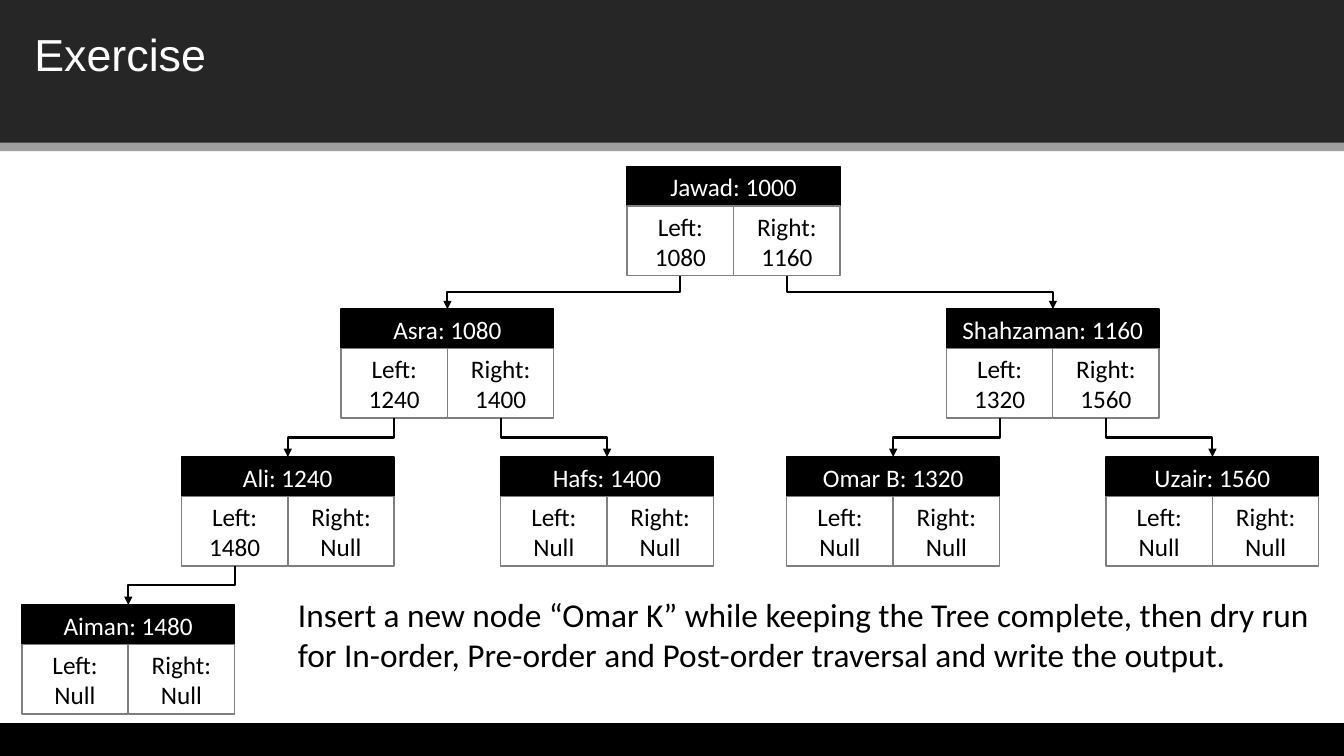
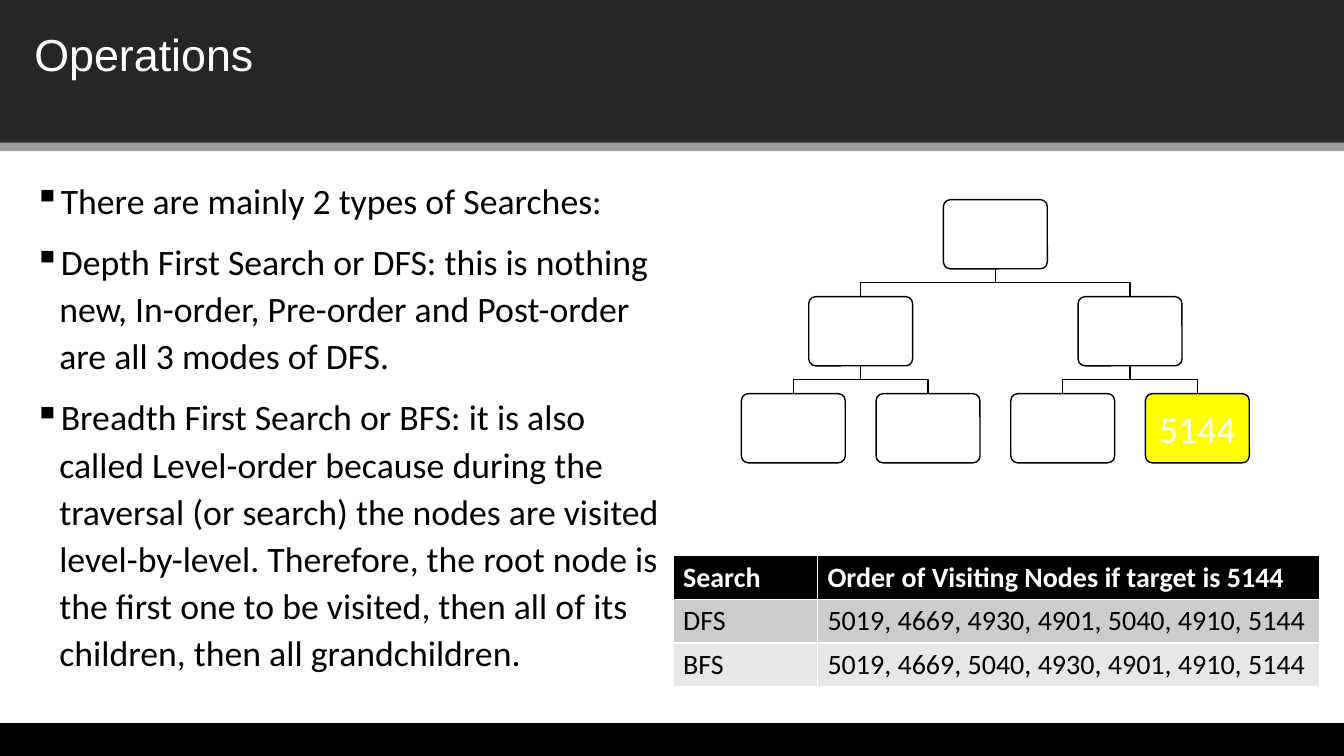
from pptx import Presentation
from pptx.dml.color import RGBColor
from pptx.enum.shapes import MSO_CONNECTOR as Conn, MSO_SHAPE as Geom
from pptx.enum.text import MSO_ANCHOR as Anchor, PP_ALIGN as Align
from pptx.oxml.ns import qn
from pptx.util import Pt
from lxml.etree import SubElement as sub

WIDE, HIGH = 960, 540
BLACK, WHITE, DARK, GRAY, EDGE = "000000", "FFFFFF", "262626", "9F9F9F", "7F7F7F"
YELLOW = "FFFF00"
BANDS = [(0, 102.5, DARK), (102, 6, GRAY), (516.5, 23.5, BLACK)]
TITLE = {"size": Pt(32), "name": "Arial"}
NODE = {"size": Pt(18), "name": "Calibri"}
TASK = {"size": Pt(23.8), "name": "Calibri"}
POINT = {"size": Pt(25.5), "name": "Calibri"}
MARK = {"size": Pt(27), "name": "Calibri"}
CELL = {"size": Pt(20), "name": "Calibri", "bold": False}
HEAD = CELL | {"bold": True}

# A node is (name, address, shift from parent, left child, right child).
ASRA = ("Asra", 1080, -204.4,
        ("Ali", 1240, -114, ("Aiman", 1480, -114, None, None), None),
        ("Hafs", 1400, 114, None, None))
SHAH = ("Shahzaman", 1160, 228,
        ("Omar B", 1320, -114, None, None),
        ("Uzair", 1560, 114, None, None))
ROOT = ("Jawad", 1000, 0, ASRA, SHAH)
TOPS = [119, 220.8, 326.4, 432.2]
NODE_W, HEAD_H, HALF_H = 152, 28.2, 49.6

INSERT = ("Insert a new node “Omar K” while keeping the Tree complete, then dry run "
          "for In-order, Pre-order and Post-order traversal and write the output.")
POINTS = [
    "There are mainly 2 types of Searches:",
    "Depth First Search or DFS: this is nothing new, In-order, Pre-order and "
    "Post-order are all 3 modes of DFS.",
    "Breadth First Search or BFS: it is also called Level-order because during the "
    "traversal (or search) the nodes are visited level-by-level. Therefore, the root "
    "node is the first one to be visited, then all of its children, then all "
    "grandchildren.",
]
ROWS = [
    ("Search", "Order of Visiting Nodes if target is 5144", HEAD, WHITE, BLACK),
    ("DFS", "5019, 4669, 4930, 4901, 5040, 4910, 5144", CELL, BLACK, "CCCCCC"),
    ("BFS", "5019, 4669, 5040, 4930, 4901, 4910, 5144", CELL, BLACK, "E7E7E7"),
]


def paint(form, color):
    """Set a fill or font colour from a hex string."""
    if hasattr(form, "solid"):
        form.solid()
        form = form.fore_color
    form.rgb = RGBColor.from_string(color)


def write(para, text, style, color):
    run = para.add_run()
    run.text = text
    for key, value in style.items():
        setattr(run.font, key, value)
    paint(run.font.color, color)


def box(slide, frame, fill, edge=None, geom=Geom.RECTANGLE):
    shape = slide.shapes.add_shape(geom, *map(Pt, frame))
    shape.shadow.inherit = False
    paint(shape.fill, fill)
    if edge:
        paint(shape.line.fill, edge)
        shape.line.width = Pt(1)
    else:
        shape.line.fill.background()
    return shape


def label(shape, text, style, color, anchor=Anchor.TOP):
    frame = shape.text_frame
    frame.word_wrap = True
    frame.vertical_anchor = anchor
    para = frame.paragraphs[0]
    para.alignment = Align.CENTER
    write(para, text, style, color)


def branch(slide, start, end, width, arrow=False):
    """Draw an elbow that leaves downward, turns, and arrives downward."""
    (x1, y1), (x2, y2) = start, end
    mid_x, mid_y = (x1 + x2) / 2, (y1 + y2) / 2
    right = x2 > x1
    dx = abs(x2 - x1) / 2
    dy = (y2 - y1) / 2 * (-1 if right else 1)
    ends = mid_x - dy, mid_y - dx, mid_x + dy, mid_y + dx
    line = slide.shapes.add_connector(Conn.ELBOW, *map(Pt, ends))
    props = line._element.spPr
    props.find(qn("a:xfrm")).set("rot", "16200000" if right else "5400000")
    paint(line.line.fill, BLACK)
    line.line.width = Pt(width)
    if arrow:
        sub(props.find(qn("a:ln")), qn("a:tailEnd"), type="triangle")
    sub(props, qn("a:effectLst"))


def base(deck, text):
    """Add a slide with its bands and title."""
    slide = deck.slides.add_slide(deck.slide_layouts[5])
    for top, high, color in BANDS:
        box(slide, (0, top, WIDE, high), color)
    title = slide.shapes.title
    slide.shapes._spTree.append(title._element)
    place = {"left": 17.3, "top": 15.8, "width": 924.5, "height": 46}
    for key, value in place.items():
        setattr(title, key, Pt(value))
    label(title, text, TITLE, WHITE)
    title.text_frame.paragraphs[0].alignment = Align.LEFT
    return slide


def node(slide, data, x, level=0):
    """Draw a record centred on x, then its children."""
    name, code, _, *kids = data
    left, top = x - NODE_W / 2, TOPS[level]
    half, mid = NODE_W / 2, top + HEAD_H
    head = box(slide, (left, top, NODE_W, HEAD_H), BLACK, BLACK)
    label(head, f"{name}: {code}", NODE, WHITE)
    for i, (side, kid) in enumerate(zip(("Left", "Right"), kids)):
        cell = box(slide, (left + i * half, mid, half, HALF_H), WHITE, EDGE)
        label(cell, f"{side}: {kid[1] if kid else 'Null'}", NODE, BLACK)
        if kid:
            kid_x = x + kid[2]
            node(slide, kid, kid_x, level + 1)
            start = left + (i + 0.5) * half, mid + HALF_H
            branch(slide, start, (kid_x, TOPS[level + 1]), 1.5, True)


def prose(slide, frame, texts, style, bullet=None):
    body = slide.shapes.add_textbox(*map(Pt, frame)).text_frame
    body.word_wrap = True
    for i, text in enumerate(texts):
        para = body.paragraphs[0] if i == 0 else body.add_paragraph()
        if bullet:
            props = para._p.get_or_add_pPr()
            props.set("marL", str(Pt(18)))
            props.set("indent", str(-Pt(18)))
            sub(props, qn("a:buChar"), char=bullet)
            para.line_spacing = 1.1
        if i:
            para.space_before = Pt(10)
        write(para, text, style, BLACK)


def chart(slide, x, top):
    """Draw three levels of boxes, with the target at the last leaf."""
    wide, high, pitch, gap = 74.2, 49.4, 69.3, 96.2
    for level in range(3):
        count, y = 2 ** level, top + level * pitch
        step = gap * 2 ** (2 - level)
        for i in range(count):
            mid = x + (i - (count - 1) / 2) * step
            last = level == 2 and i == count - 1
            frame = mid - wide / 2, y, wide, high
            item = box(slide, frame, YELLOW if last else WHITE, BLACK,
                       Geom.ROUNDED_RECTANGLE)
            item.adjustments[0] = 0.1
            if last:
                for side in ("left", "right"):
                    setattr(item.text_frame, f"margin_{side}", 0)
                label(item, "5144", MARK, WHITE, Anchor.MIDDLE)
            if level < 2:
                for turn in (-1, 1):
                    end = mid + turn * step / 4, y + pitch
                    branch(slide, (mid, y + high), end, 1)


def grid(slide, left, top):
    widths, high = (103.2, 358.8), 31.2
    frame = left, top, sum(widths), high * len(ROWS)
    table = slide.shapes.add_table(len(ROWS), 2, *map(Pt, frame)).table
    for col, width in zip(table.columns, widths):
        col.width = Pt(width)
    for i, (*texts, style, color, fill) in enumerate(ROWS):
        table.rows[i].height = Pt(high)
        for j, text in enumerate(texts):
            cell = table.cell(i, j)
            paint(cell.fill, fill)
            write(cell.text_frame.paragraphs[0], text, style, color)


def main():
    deck = Presentation()
    deck.slide_width, deck.slide_height = Pt(WIDE), Pt(HIGH)

    slide = base(deck, "Exercise")
    node(slide, ROOT, 524)
    prose(slide, (205.8, 421.2, 738.7, 88.6), [INSERT], TASK)

    slide = base(deck, "Operations")
    prose(slide, (17.3, 121, 463, 389.5), POINTS, POINT, "▪")
    chart(slide, 711, 142.6)
    grid(slide, 480.7, 396.8)

    deck.save("out.pptx")


if __name__ == "__main__":
    main()
